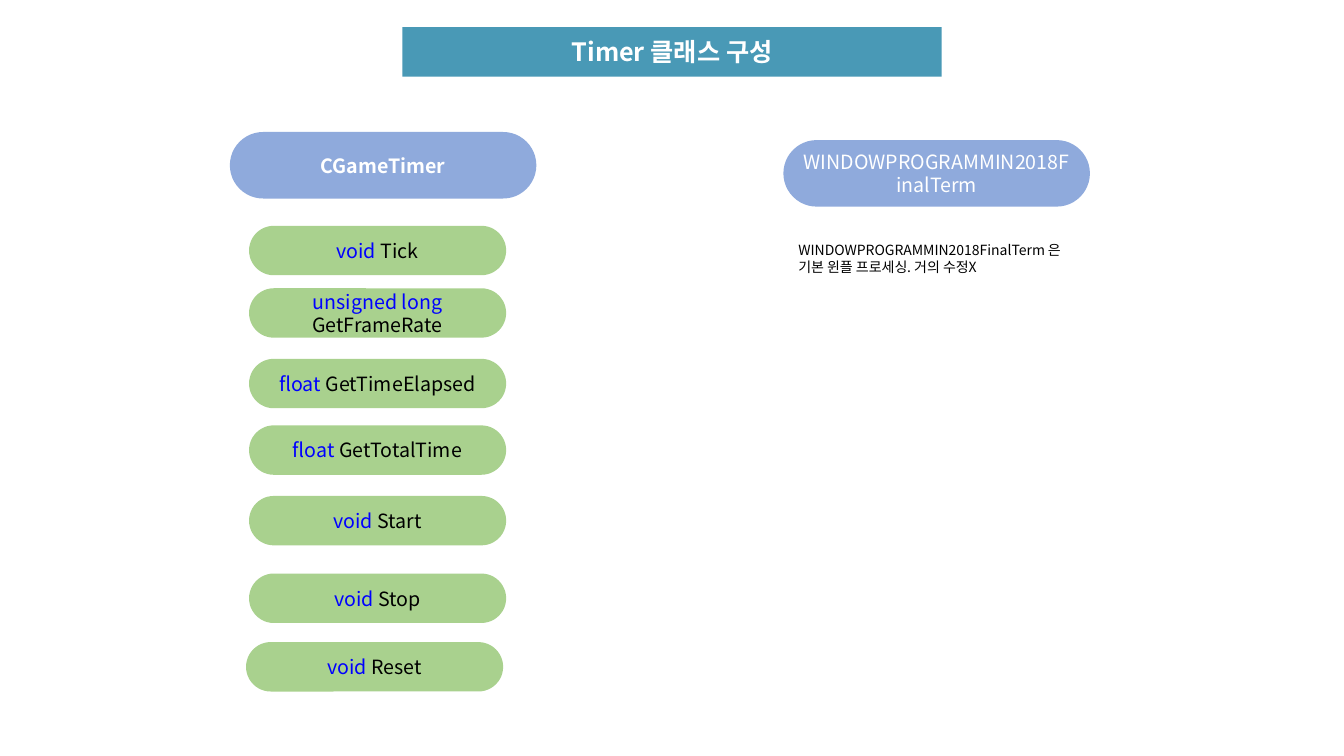
from dataclasses import dataclass

from lxml import etree
from pptx import Presentation
from pptx.dml.color import RGBColor
from pptx.enum import shapes, text
from pptx.oxml import parse_xml
from pptx.oxml.ns import nsdecls, qn
from pptx.util import Inches, Pt


@dataclass(frozen=True)
class Theme:
    font: str = "Noto Sans CJK KR"
    title_fill: str = "4999B6"
    class_fill: str = "8FAADC"
    method_fill: str = "A9D18E"
    light: str = "FFFFFF"
    dark: str = "000000"
    keyword: str = "0000FF"
    title_size: int = 18
    body_size: int = 14
    note_size: int = 10


@dataclass(frozen=True)
class ClassHeader:
    name: str
    left: float
    top: float
    bold: bool = False


@dataclass(frozen=True)
class Method:
    returns: str
    name: str
    top: float
    left: float = 2.47


THEME = Theme()
CLASS_SIZE = (3.04, 0.66)
METHOD_SIZE = (2.55, 0.49)

HEADERS = [
    ClassHeader("CGameTimer", 2.28, 1.31, bold=True),
    ClassHeader("WINDOWPROGRAMMIN2018FinalTerm", 7.77, 1.39),
]
METHODS = [
    Method("void", "Tick", 2.24),
    Method("unsigned long", "GetFrameRate", 2.86),
    Method("float", "GetTimeElapsed", 3.56),
    Method("float", "GetTotalTime", 4.22),
    Method("void", "Start", 4.92),
    Method("void", "Stop", 5.69),
    Method("void", "Reset", 6.37, left=2.44),
]
NOTE_LINES = [
    "WINDOWPROGRAMMIN2018FinalTerm 은",
    "기본 윈플 프로세싱. 거의 수정X",
]


def style_paragraph(p, size: int, color: str, bold: bool = False) -> None:
    p.font.size = Pt(size)
    p.font.bold = bold
    p.font.color.rgb = RGBColor.from_string(color)
    p.font.name = THEME.font
    # Hangul takes its typeface from the East Asian font
    props = p._p.pPr.find(qn("a:defRPr"))
    etree.SubElement(props, qn("a:ea"), typeface=THEME.font)


def format_pill(sp, fill: str):
    """Fill a pill, remove its outline and return its centred paragraph."""
    sp.fill.solid()
    sp.fill.fore_color.rgb = RGBColor.from_string(fill)
    sp.line.fill.background()
    tf = sp.text_frame
    tf.word_wrap = True
    tf.auto_size = text.MSO_AUTO_SIZE.NONE
    tf.vertical_anchor = text.MSO_ANCHOR.MIDDLE
    p = tf.paragraphs[0]
    p.alignment = text.PP_ALIGN.CENTER
    return p


def add_pill(slide, left: float, top: float, size: tuple[float, float], fill: str):
    sp = slide.shapes.add_shape(
        shapes.MSO_SHAPE.ROUNDED_RECTANGLE,
        Inches(left), Inches(top), *map(Inches, size))
    sp.adjustments[0] = 0.5
    sp.shadow.inherit = False
    return format_pill(sp, fill)


def add_title(slide) -> None:
    title = slide.shapes.title
    title.left, title.top = Inches(3.99), Inches(0.27)
    title.width, title.height = Inches(5.35), Inches(0.49)
    title.element.spPr.append(parse_xml(
        f'<a:prstGeom {nsdecls("a")} prst="roundRect"><a:avLst>'
        '<a:gd name="adj" fmla="val 50000"/></a:avLst></a:prstGeom>'))
    p = format_pill(title, THEME.title_fill)
    p.add_run().text = "Timer 클래스 구성"
    style_paragraph(p, THEME.title_size, THEME.light, bold=True)


def add_header(slide, header: ClassHeader) -> None:
    p = add_pill(slide, header.left, header.top, CLASS_SIZE, THEME.class_fill)
    p.add_run().text = header.name
    style_paragraph(p, THEME.body_size, THEME.light, header.bold)


def add_method(slide, method: Method) -> None:
    p = add_pill(slide, method.left, method.top, METHOD_SIZE, THEME.method_fill)
    style_paragraph(p, THEME.body_size, THEME.dark)
    for words, color in ((f"{method.returns} ", THEME.keyword),
                         (method.name, THEME.dark)):
        r = p.add_run()
        r.text = words
        r.font.color.rgb = RGBColor.from_string(color)


def add_note(slide) -> None:
    box = slide.shapes.add_textbox(
        Inches(7.82), Inches(2.35), Inches(2.94), Inches(0.44))
    tf = box.text_frame
    tf.word_wrap = False
    tf.auto_size = text.MSO_AUTO_SIZE.SHAPE_TO_FIT_TEXT
    tf.text = "\n".join(NOTE_LINES)
    for p in tf.paragraphs:
        style_paragraph(p, THEME.note_size, THEME.dark)


def main() -> None:
    prs = Presentation()
    prs.slide_width, prs.slide_height = Inches(13.33), Inches(7.5)
    slide = prs.slides.add_slide(prs.slide_layouts.get_by_name("Title Only"))

    # Title bar
    add_title(slide)

    # Classes and the methods of the timer
    for header in HEADERS:
        add_header(slide, header)
    for method in METHODS:
        add_method(slide, method)

    # Remark under the second class
    add_note(slide)

    prs.save("out.pptx")


if __name__ == "__main__":
    main()
